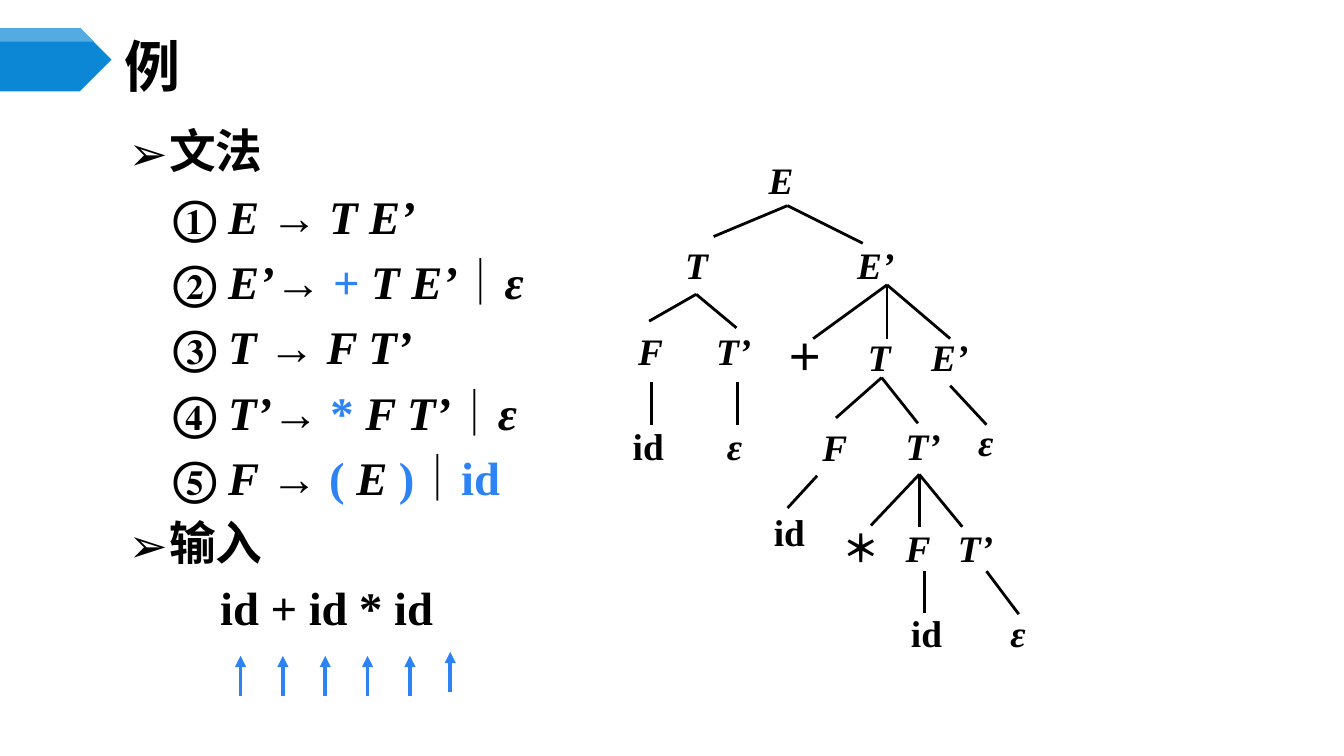
from typing import NamedTuple

from lxml import etree
from pptx import Presentation
from pptx.dml.color import RGBColor
from pptx.enum.shapes import MSO_CONNECTOR, MSO_SHAPE
from pptx.enum.text import MSO_ANCHOR, MSO_AUTO_SIZE, PP_ALIGN
from pptx.oxml.ns import qn
from pptx.util import Inches, Pt

STRAIGHT = MSO_CONNECTOR.STRAIGHT
PENTAGON = MSO_SHAPE.PENTAGON
MIDDLE = MSO_ANCHOR.MIDDLE
LEFT = PP_ALIGN.LEFT
GROW = MSO_AUTO_SIZE.SHAPE_TO_FIT_TEXT
FIXED = MSO_AUTO_SIZE.NONE

HEADING_FONT = "Noto Sans CJK SC"
TEXT_FONT = "Times New Roman"
BLACK, BLUE = "000000", "2D83F4"
BANNER, BANNER_LIGHT = "0B87D6", "54ABE2"

Point = tuple[float, float]


class Span(NamedTuple):
    text: str
    italic: bool = False
    color: str = BLACK


class Line(NamedTuple):
    spans: list[Span]
    margin: float = 0.33
    font: str = TEXT_FONT
    bullet: str = ""


class Node(NamedTuple):
    text: str
    left: float
    top: float
    width: float


class Branch(NamedTuple):
    apex: Point
    ends: list[Point]


def symbol(text: str) -> Span:
    return Span(text, italic=True)


def terminal(text: str) -> Span:
    return Span(text, color=BLUE)


def heading(text: str) -> Line:
    return Line([Span(text)], 0.3, HEADING_FONT, "➢")


BODY = [
    heading("文法"),
    Line([Span("① "), symbol("E"), Span(" → "), symbol("T E’")]),
    Line([Span("② "), symbol("E’"), Span("→ "), terminal("+ "),
          symbol("T E’"), Span("｜"), symbol("ε")]),
    Line([Span("③ "), symbol("T"), Span(" → "), symbol("F T’")]),
    Line([Span("④ "), symbol("T’"), Span("→ "), terminal("* "),
          symbol("F T’"), Span("｜"), symbol("ε")]),
    Line([Span("⑤ "), symbol("F"), Span(" → "), terminal("( "),
          symbol("E "), terminal(")"), Span("｜"), terminal("id")]),
    heading("输入"),
    Line([Span("id + id * id")], margin=0.68),
]

NODES = [
    Node("E", 5.62, 1.12, 0.39),
    Node("T", 5, 1.75, 0.37), Node("E’", 6.28, 1.75, 1.08),
    Node("F", 4.65, 2.39, 0.39), Node("T’", 5.23, 2.39, 0.71),
    Node("＋", 5.75, 2.44, 0.48), Node("T", 6.36, 2.44, 0.37),
    Node("E’", 6.83, 2.44, 0.48),
    Node("id", 4.61, 3.1, 0.44), Node("ε", 5.31, 3.1, 0.32),
    Node("F", 6.02, 3.11, 0.39), Node("T’", 6.64, 3.1, 0.47),
    Node("ε", 7.18, 3.07, 0.32),
    Node("id", 5.66, 3.74, 0.44), Node("＊", 6.17, 3.86, 0.48),
    Node("F", 6.64, 3.86, 0.67), Node("T’", 7.03, 3.86, 0.47),
    Node("id", 6.68, 4.49, 0.43), Node("ε", 7.42, 4.49, 0.59),
]
OPERATORS = {"＋", "＊"}
UPRIGHT = OPERATORS | {"id"}

BRANCHES = [
    Branch((5.86, 1.53), [(5.31, 1.76), (6.42, 1.81)]),
    Branch((5.18, 2.19), [(4.83, 2.39), (5.48, 2.44)]),
    Branch((6.6, 2.12), [(6.05, 2.52), (6.6, 2.52), (7.07, 2.52)]),
    Branch((4.85, 2.84), [(4.85, 3.16)]),
    Branch((5.49, 2.84), [(5.49, 3.16)]),
    Branch((6.56, 2.81), [(6.22, 3.11), (6.83, 3.15)]),
    Branch((7.07, 2.87), [(7.34, 3.16)]),
    Branch((6.08, 3.54), [(5.86, 3.78)]),
    Branch((6.84, 3.53), [(6.48, 3.91), (6.84, 3.92), (7.16, 3.92)]),
    Branch((6.88, 4.25), [(6.88, 4.56)]),
    Branch((7.34, 4.25), [(7.58, 4.57)]),
]


def rgb(color: str) -> RGBColor:
    return RGBColor.from_string(color)


def format_run(run, font: str, size: float, color: str = BLACK,
               italic: bool = False, east_asian: str = "") -> None:
    run.font.name, run.font.size = font, Pt(size)
    run.font.bold, run.font.italic = True, italic
    run.font.color.rgb = rgb(color)
    etree.SubElement(run.font._element, qn("a:ea")).set("typeface", east_asian or font)


def add_body(page) -> None:
    box = page.shapes.add_textbox(Inches(0.86), Inches(0.86), Inches(6.54), Inches(3.55))
    frame = box.text_frame
    frame.word_wrap, frame.auto_size = True, FIXED
    for index, line in enumerate(BODY):
        para = frame.add_paragraph() if index else frame.paragraphs[0]
        properties = para._p.get_or_add_pPr()
        properties.set("marL", str(Inches(line.margin)))
        if line.bullet:
            properties.set("indent", str(-Inches(line.margin)))
            etree.SubElement(properties, qn("a:buFont")).set("typeface", HEADING_FONT)
            etree.SubElement(properties, qn("a:buChar")).set("char", line.bullet)
        para.line_spacing = Pt(30)
        para.space_before = Pt(5 if index else 0)
        for span in line.spans:
            run = para.add_run()
            run.text = span.text
            format_run(run, line.font, 25, span.color, span.italic)


def add_node(page, node: Node) -> None:
    box = page.shapes.add_textbox(
        Inches(node.left), Inches(node.top), Inches(node.width), Inches(0.44))
    frame = box.text_frame
    frame.word_wrap, frame.auto_size = node.width > 0.5, GROW
    frame.text = node.text
    format_run(frame.paragraphs[0].runs[0], TEXT_FONT, 20,
               italic=node.text not in UPRIGHT,
               east_asian=HEADING_FONT if node.text in OPERATORS else TEXT_FONT)


def add_line(page, start: Point, end: Point, color: str = BLACK,
             width: float = 1.5, arrow: bool = False) -> None:
    line = page.shapes.add_connector(STRAIGHT, *map(Inches, start + end))
    line.line.color.rgb, line.line.width = rgb(color), Pt(width)
    if arrow:
        tail = etree.SubElement(line.line._get_or_add_ln(), qn("a:tailEnd"))
        tail.set("type", "triangle")
    etree.SubElement(line._element.spPr, qn("a:effectLst"))


def fill_plain(shape, color: str) -> None:
    shape.shadow.inherit = False
    shape.fill.solid()
    shape.fill.fore_color.rgb = rgb(color)
    shape.line.fill.background()


def add_title(page) -> None:
    title = page.shapes.title
    title.left, title.top = Inches(0.83), Inches(0.29)
    title.width, title.height = Inches(8.67), Inches(0.39)
    frame = title.text_frame
    frame.text = "例"
    frame.vertical_anchor, frame.auto_size = MIDDLE, FIXED
    frame.paragraphs[0].alignment = LEFT
    format_run(frame.paragraphs[0].runs[0], HEADING_FONT, 30)


def add_banner(page) -> None:
    banner = page.shapes.add_shape(
        PENTAGON, Inches(0), Inches(0.21), Inches(0.83), Inches(0.47))
    fill_plain(banner, BANNER)
    outline = page.shapes.build_freeform(Inches(0), Inches(0.21), scale=1.0)
    corners = [(0.6, 0.21), (0.7, 0.31), (0, 0.31)]
    outline.add_line_segments([(Inches(x), Inches(y)) for x, y in corners])
    fill_plain(outline.convert_to_shape(), BANNER_LIGHT)


def main() -> None:
    deck = Presentation()
    deck.slide_width = Inches(10)
    deck.slide_height = deck.slide_width * 9 // 16
    page = deck.slides.add_slide(deck.slide_layouts[5])
    add_title(page)
    add_banner(page)
    add_body(page)
    for node in NODES:
        add_node(page, node)
    for branch in BRANCHES:
        for end in branch.ends:
            add_line(page, branch.apex, end)
    pointers = [(1.79 + 0.315 * step, 5.18) for step in range(5)] + [(3.35, 5.15)]
    for x, y in pointers:
        add_line(page, (x, y), (x, y - 0.3), BLUE, 2, arrow=True)
    deck.save("out.pptx")


if __name__ == "__main__":
    main()
